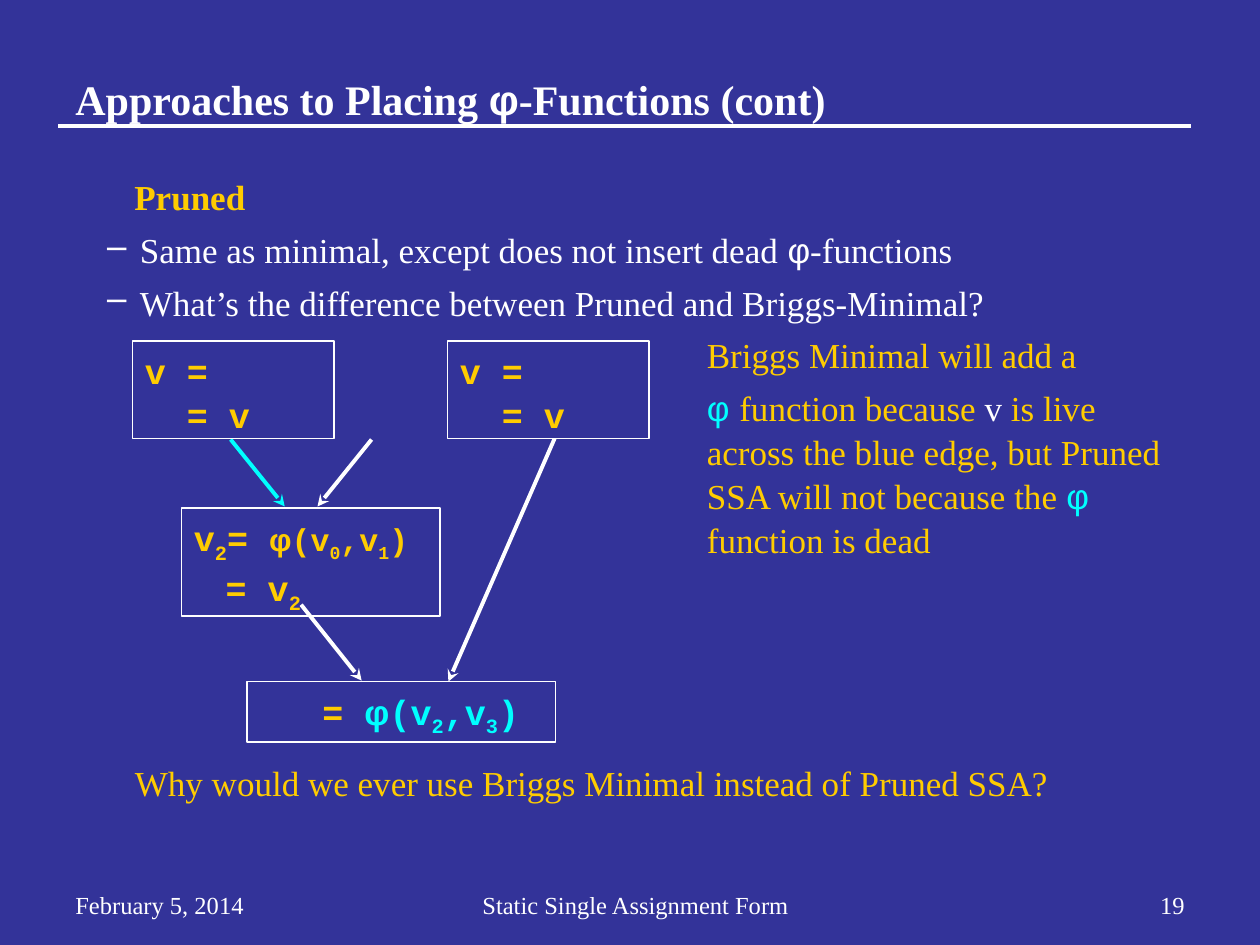
from dataclasses import dataclass

import pptx
import pptx.dml.color
import pptx.enum.shapes
import pptx.enum.text
import pptx.oxml
import pptx.oxml.ns
import pptx.util

Cm = pptx.util.Cm
Pt = pptx.util.Pt
Align = pptx.enum.text.PP_ALIGN


@dataclass(frozen=True)
class Theme:
    back: str = "333399"
    white: str = "FFFFFF"
    gold: str = "FFCC00"
    blue: str = "00FFFF"
    serif: str = "Times New Roman"
    sans: str = "Arial"
    mono: str = "Courier New"
    head: float = 24
    body: float = 20
    small: float = 18
    foot: float = 14
    lead: float = 1.05
    gap: float = 5
    edge: float = 1
    arrow: float = 2.25


THEME = Theme()


@dataclass(frozen=True)
class Run:
    text: str
    color: str = THEME.gold
    font: str = THEME.serif
    size: float = THEME.body
    bold: bool = False
    sub: bool = False


@dataclass(frozen=True)
class Para:
    runs: tuple[Run, ...]
    left: float = 0
    hang: float = 0
    mark: str = ""
    gap: float = 0
    align: Align = Align.LEFT


@dataclass(frozen=True)
class Block:
    x: float
    y: float
    wide: float
    high: float
    paras: tuple[Para, ...]
    mid: bool = False
    edge: bool = False
    fill: str = ""


@dataclass(frozen=True)
class Line:
    start: tuple[float, float]
    end: tuple[float, float]
    color: str = THEME.white
    width: float = THEME.arrow
    tip: bool = True


def code(text: str, color: str = THEME.gold, size: float = THEME.body, sub: bool = False) -> Run:
    return Run(text, color, THEME.mono, size, True, sub)


def phi(color: str, size: float = THEME.body, bold: bool = False, tail: str = "") -> Run:
    return Run("φ" + tail, color, THEME.sans, size, bold)


def call(first: str, second: str, color: str, size: float) -> tuple[Run, ...]:
    return (
        phi(color, size, True),
        code("(v", color, size), code(first, color, size, True),
        code(",v", color, size), code(second, color, size, True),
        code(")", color, size),
    )


def tint(text: str) -> pptx.dml.color.RGBColor:
    return pptx.dml.color.RGBColor.from_string(text)


def add_run(para, item: Run) -> None:
    run = para.add_run()
    run.text = item.text
    run.font.name = item.font
    run.font.size = Pt(item.size)
    run.font.bold = item.bold
    run.font.color.rgb = tint(item.color)
    if item.sub:
        run._r.get_or_add_rPr().set("baseline", "-25000")


def add_para(para, item: Para) -> None:
    para.alignment = item.align
    para.line_spacing = THEME.lead
    para.space_before = Pt(item.gap)
    props = para._p.get_or_add_pPr()
    props.set("marL", str(Cm(item.left)))
    props.set("indent", str(Cm(-item.hang)))
    if item.mark:
        mark = pptx.oxml.parse_xml(
            f'<a:buChar {pptx.oxml.ns.nsdecls("a")} char="{item.mark}"/>')
        props.append(mark)
    for run in item.runs:
        add_run(para, run)


def add_block(slide, item: Block) -> None:
    place = Cm(item.x), Cm(item.y), Cm(item.wide), Cm(item.high)
    if item.edge:
        shape = slide.shapes.add_shape(pptx.enum.shapes.MSO_SHAPE.RECTANGLE, *place)
        shape.shadow.inherit = False
        shape.line.color.rgb = tint(THEME.white)
        shape.line.width = Pt(THEME.edge)
        if item.fill:
            shape.fill.solid()
            shape.fill.fore_color.rgb = tint(item.fill)
        else:
            shape.fill.background()
    else:
        shape = slide.shapes.add_textbox(*place)
    frame = shape.text_frame
    frame.word_wrap = True
    anchor = pptx.enum.text.MSO_ANCHOR
    frame.vertical_anchor = anchor.MIDDLE if item.mid else anchor.TOP
    for place, para in enumerate(item.paras):
        add_para(frame.add_paragraph() if place else frame.paragraphs[0], para)


def add_line(slide, item: Line) -> None:
    ends = [Cm(value) for value in item.start + item.end]
    line = slide.shapes.add_connector(pptx.enum.shapes.MSO_CONNECTOR.STRAIGHT, *ends)
    line.line.color.rgb = tint(item.color)
    line.line.width = Pt(item.width)
    space = pptx.oxml.ns.nsdecls("a")
    if item.tip:
        line.line._get_or_add_ln().append(
            pptx.oxml.parse_xml(f'<a:tailEnd {space} type="stealth"/>'))
    line._element.spPr.append(pptx.oxml.parse_xml(f"<a:effectLst {space}/>"))


def foot(x: float, wide: float, text: str, align: Align) -> Block:
    run = Run(text, THEME.white, size=THEME.foot)
    return Block(x, 17.78, wide, 0.89, (Para((run,), align=align),))


def point(*runs: Run) -> Para:
    return Para(runs, 1.3, 0.66, "–", THEME.gap)


def main() -> None:
    deck = pptx.Presentation()
    deck.slide_width, deck.slide_height = Cm(25.4), Cm(19.05)
    slide = deck.slides.add_slide(deck.slide_layouts[6])
    slide.background.fill.solid()
    slide.background.fill.fore_color.rgb = tint(THEME.back)

    white, gold, blue = THEME.white, THEME.gold, THEME.blue
    title = tuple(
        Run(text, white, font, THEME.head, True)
        for text, font in (("Approaches to Placing ", THEME.serif), ("φ", THEME.sans),
                           ("-Functions (cont)", THEME.serif)))
    points = (
        Para((Run("Pruned", bold=True),), 1.19, gap=THEME.gap),
        point(Run("Same as minimal, except does not insert dead ", white),
              phi(white), Run("-functions", white)),
        point(Run("What’s the difference between Pruned and Briggs-Minimal?", white)),
    )
    notes = (
        Para((Run("Briggs Minimal will add a"),), gap=THEME.gap),
        Para((phi(blue, tail=" "), Run("function because "), Run("v", white),
              Run(" is live across the blue edge, but Pruned SSA will not because the "),
              phi(blue, tail=" "), Run("function is dead")), gap=THEME.gap),
    )
    ask = Para((Run("Why would we ever use Briggs Minimal instead of Pruned SSA?"),), 0.18)
    use = (Para((code("v ="),)), Para((code("= v"),), 0.85))
    merge = (
        Para((code("v"), code("2", sub=True), code("= "), *call("0", "1", gold, THEME.small))),
        Para((code("= v"), code("2", sub=True)), 0.64),
    )
    last = (Para((code("= "), *call("2", "3", blue, THEME.body)), 1.27),)

    lines = (
        Line((1.17, 2.54), (24, 2.54), width=2, tip=False),
        Line((4.65, 8.86), (5.74, 10.21), blue),
        Line((7.49, 8.86), (6.4, 10.21)),
        Line((11.18, 8.84), (9.04, 13.74)),
        Line((6.07, 12.19), (7.29, 13.72)),
    )
    blocks = (
        foot(1.27, 4.65, "February 5, 2014", Align.LEFT),
        foot(6.78, 12.07, "Static Single Assignment Form", Align.CENTER),
        foot(21.79, 2.34, "19", Align.RIGHT),
        Block(1.27, 1.07, 22.86, 1.78, (Para(title),), mid=True),
        Block(1.27, 3.38, 22.86, 14.17, points),
        Block(14, 6.55, 10.13, 6.17, notes),
        Block(4.98, 13.74, 6.22, 1.22, last, edge=True),
        Block(2.67, 6.88, 4.06, 1.96, use, edge=True),
        Block(9.02, 6.88, 4.06, 1.96, use, edge=True, fill=THEME.back),
        Block(3.66, 10.24, 5.21, 2.18, merge, edge=True),
        Block(2.29, 15.19, 20.93, 1.27, (ask,)),
    )
    for line in lines:
        add_line(slide, line)
    for block in blocks:
        add_block(slide, block)
    deck.save("out.pptx")


if __name__ == "__main__":
    main()
